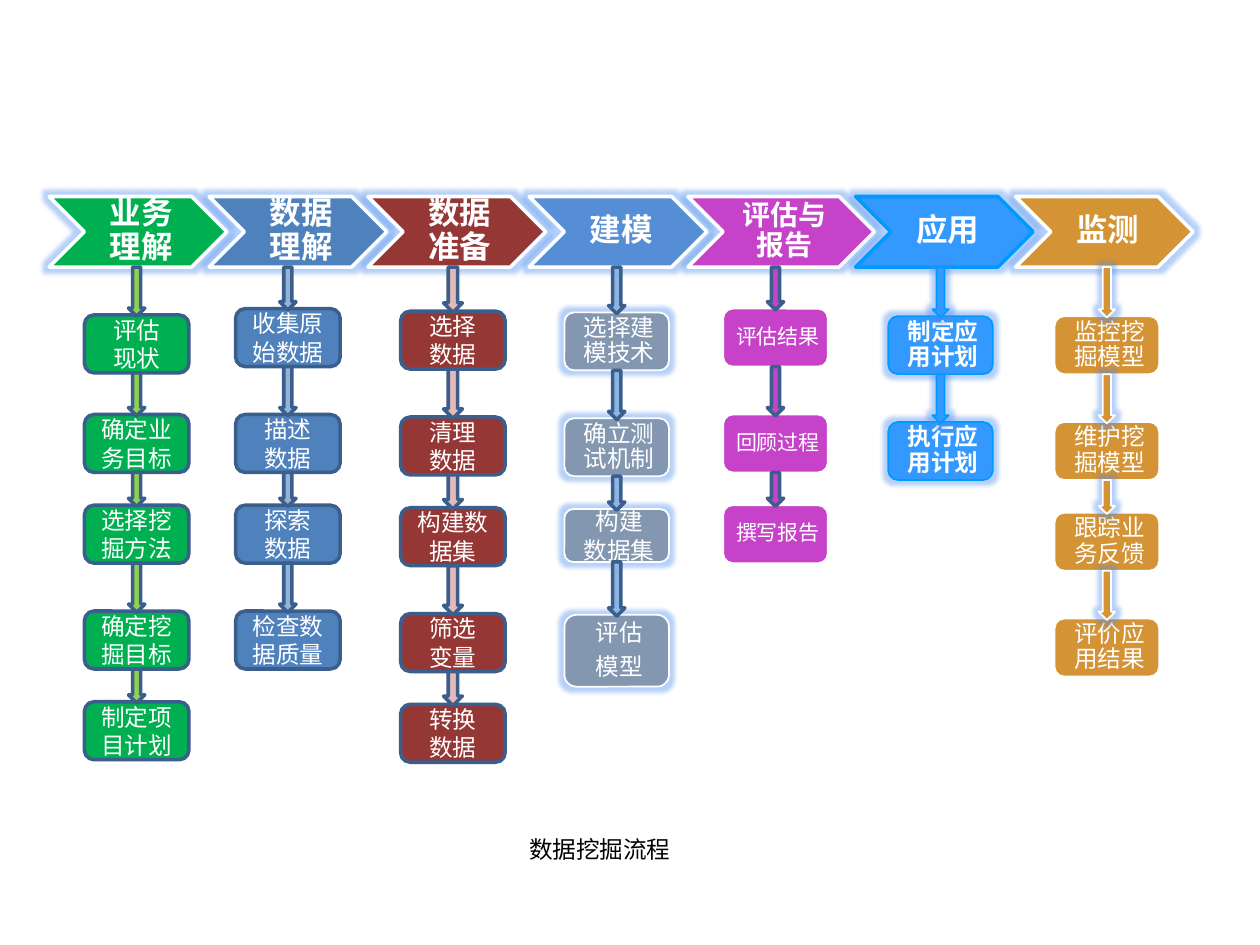
from lxml import etree
from pptx import Presentation
from pptx import util as u
from pptx.dml import color
from pptx.enum import shapes, text
from pptx.oxml import ns

INK = {
    "white": "FFFFFF", "black": "000000", "navy": "3A5F8C", "green": "00B050",
    "lime": "92D050", "blue": "4F81BD", "pale": "95B3D7", "red": "953735",
    "pink": "E6B9B8", "sky": "558ED5", "mist": "8EB4E3", "grey": "8497B0",
    "plum": "C642C9", "azure": "3399FF", "edge": "0099FF", "gold": "D49334",
    "glow": "4A8CF0",
}
CAL, NOTO = "Calibri", "Noto Sans CJK SC"
WIDE = (0.1, 0.05, 0.1, 0.05)
TIGHT = (0.06, 0.02, 0.02, 0.02)
HEAD = (0.08, 0.03, 0.03, 0.03)

STAGES = [
    dict(name="业务理解", x=0.39, col=0.67, y=2.45, fill="green", dart="lime", face=CAL,
         steps=["评估\n现状", "确定业务目标", "选择挖掘方法", "确定挖掘目标", "制定项目计划"],
         tops={0: 0.05}),
    dict(name="数据理解", x=1.66, col=1.87, y=2.45, fill="blue", dart="pale",
         steps=["收集原始数据", "描述\n数据", "探索\n数据", "检查数据质量"]),
    dict(name="数据准备", x=2.92, col=3.18, y=2.47, fill="red", dart="pink", thick=0.15,
         steps=["选择\n数据", "清理\n数据", "构建数据集", "筛选\n变量", "转换\n数据"]),
    dict(name="建模", x=4.2, col=4.48, y=2.48, fill="sky", card="grey", dart="mist",
         rim="white", font=NOTO, pad=TIGHT, lead=0.9, halo=True,
         steps=["选择建模技术", "确立测试机制", "构建\n数据集", "评估\n模型"],
         highs={2: 0.42, 3: 0.57}, leads={2: 1}),
    dict(name="评估与报告", x=5.46, wide=1.48, big=16, col=5.74, y=2.45, fill="plum",
         dart="plum", rim="white", font=NOTO, size=12, pad=TIGHT, lead=0.9,
         steps=["评估结果", "回顾过程", "撰写报告"]),
    dict(name="应用", x=6.79, col=7.05, y=2.51, fill="azure", dart="azure", side="edge",
         rim="edge", tail="edge", thin=1, font=NOTO, pad=TIGHT, lead=0.9,
         bold=True, halo=True, shine=True, steps=["制定应用计划", "执行应用计划"]),
    dict(name="监测", x=8.06, col=8.37, y=2.51, fill="gold", dart="gold", rim="white",
         tail="white", thin=1, font=NOTO, pad=TIGHT, lead=0.9, shine=True,
         steps=["监控挖掘模型", "维护挖掘模型", "跟踪业务反馈", "评价应用结果"]),
]
ROWS = (0, 0.84, 1.56, 2.4, 3.12)
TOP, HIGH = 1.56, 0.56
CARD = (0.83, 0.46)
KIND = shapes.MSO_SHAPE


def tint(key):
    return color.RGBColor.from_string(INK[key])


def shine(shape):
    box = shape._element.spPr.find(ns.qn("a:effectLst"))
    glow = etree.SubElement(box, ns.qn("a:glow"), rad="63500")
    tone = etree.SubElement(glow, ns.qn("a:srgbClr"), val=INK["glow"])
    etree.SubElement(tone, ns.qn("a:alpha"), val="40000")


def draw(kind, spot, fill, line, width, glow=False):
    shape = slide.shapes.add_shape(kind, *map(u.Inches, spot))
    shape.shadow.inherit = False
    shape.fill.solid()
    shape.fill.fore_color.rgb = tint(fill)
    shape.line.color.rgb = tint(line)
    shape.line.width = u.Pt(width)
    if glow:
        shine(shape)
    return shape


def write(shape, words, size, font, pad=WIDE, lead=None, bold=False, ink="white"):
    frame = shape.text_frame
    frame.word_wrap = True
    frame.vertical_anchor = text.MSO_ANCHOR.MIDDLE
    (frame.margin_left, frame.margin_top,
     frame.margin_right, frame.margin_bottom) = map(u.Inches, pad)
    for i, part in enumerate(words.split("\n")):
        para = frame.add_paragraph() if i else frame.paragraphs[0]
        para.alignment = text.PP_ALIGN.CENTER
        if lead:
            para.line_spacing = lead
            para.space_after = u.Pt(round(size * 0.35, 1) if lead < 1 else 0)
        run = para.add_run()
        run.text = part
        run.font.size = u.Pt(size)
        run.font.name = font
        run.font.bold = bold
        run.font.color.rgb = tint(ink)


deck = Presentation()
deck.slide_width, deck.slide_height = u.Inches(10), u.Inches(7.5)
slide = deck.slides.add_slide(deck.slide_layouts[6])

for s in STAGES:
    spot = (s["x"], TOP, s.get("wide", 1.41), HIGH)
    head = draw(KIND.CHEVRON, spot, s["fill"], s.get("side", "white"), 2, True)
    write(head, s["name"], s.get("big", 18), s.get("face", NOTO), HEAD, 0.9, True)

darts = []
for s in STAGES:
    end = TOP + HIGH
    for i, step in enumerate(s["steps"]):
        top = s["y"] + ROWS[i] + s.get("tops", {}).get(i, 0)
        high = s.get("highs", {}).get(i, CARD[1])
        rim = s.get("rim", "navy")
        card = draw(KIND.ROUNDED_RECTANGLE, (s["col"], top, CARD[0], high),
                    s.get("card", s["fill"]), rim, 2 if rim == "navy" else 1,
                    s.get("halo", False))
        write(card, step, s.get("size", 13.5), s.get("font", CAL), s.get("pad", WIDE),
              s.get("leads", {}).get(i, s.get("lead")), s.get("bold", False))
        darts.append((s, end, top))
        end = top + high

note = slide.shapes.add_textbox(*map(u.Inches, (2.07, 6.57, 5.38, 0.33)))
write(note, "数据挖掘流程", 13.5, CAL, ink="black")

for s, top, end in darts:
    wide = s.get("thick", 0.13)
    left = s["col"] + (CARD[0] - wide) / 2
    draw(KIND.DOWN_ARROW, (left, top, wide, end - top + 0.01), s["dart"],
         s.get("tail", "navy"), s.get("thin", 2), s.get("shine", False))

deck.save("out.pptx")
